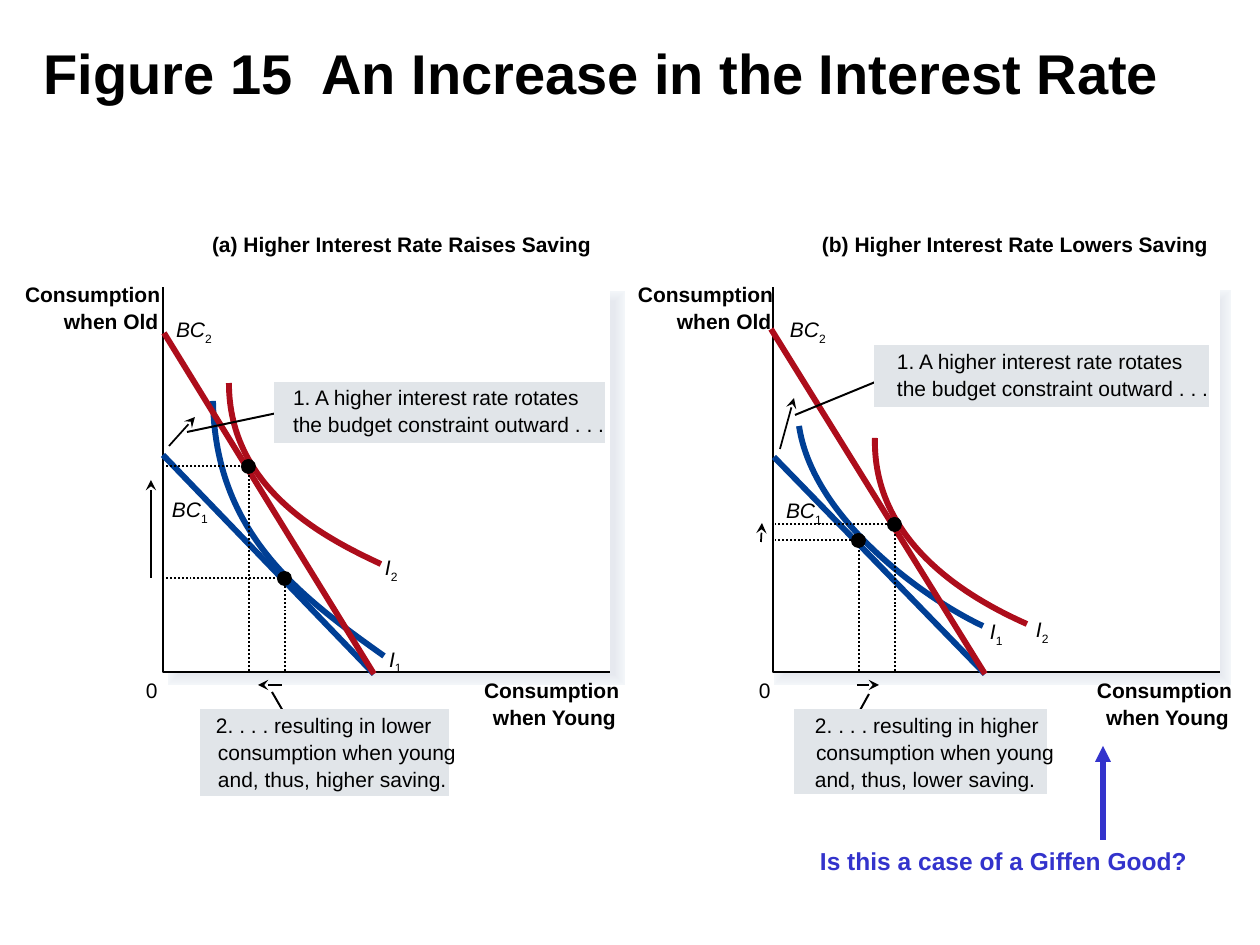
from dataclasses import dataclass

from lxml import etree
from pptx import Presentation
from pptx import util as u
from pptx.dml.color import RGBColor
from pptx.enum import dml, shapes, text
from pptx.oxml.ns import qn

PX = u.Inches(1) / 126
BLACK = RGBColor(0x00, 0x00, 0x00)
WHITE = RGBColor(0xFF, 0xFF, 0xFF)
BLUE = RGBColor(0x00, 0x3F, 0x95)
RED = RGBColor(0xAD, 0x0D, 0x1B)
VIOLET = RGBColor(0x33, 0x33, 0xCC)
CALLOUT_GREY = RGBColor(0xE1, 0xE5, 0xE9)
SHADOW_OUTER = RGBColor(0xF3, 0xF6, 0xF9)
SHADOW_INNER = RGBColor(0xE6, 0xE9, 0xEF)
SHADOW_STEPS = 11
THIN, ARROW, CURVE = 1.13, 1, 3.37
AXIS_Y, AXIS_TOP = 672, 287
TEXT_SLACK = 8  # keeps each label on one line


def px(length):
    return u.Emu(round(length * PX))


def blend(start, end, share):
    return RGBColor(*(round(a + (b - a) * share) for a, b in zip(start, end)))


@dataclass
class Callout:
    leader: tuple
    box: tuple
    top: int
    lines: tuple  # (words, left, width) for each line


@dataclass
class Panel:
    title: str
    title_width: int
    axis_x: int
    label_shift: int
    shadow: tuple
    arrows: tuple
    budget_lines: tuple  # (colour, line ends, label position)
    curves: tuple  # (colour, Bézier points, label position)
    optima: tuple
    callouts: tuple


class Sketch:
    """Holds the slide and the text style, and draws each kind of element."""

    def __init__(self, slide, font="Arial", size=12):
        self.slide = slide
        self.font = font
        self.size = size

    def run(self, paragraph, words, size=None, colour=BLACK, bold=False, italic=False):
        run = paragraph.add_run()
        run.text = words
        font = run.font
        font.name, font.size = self.font, u.Pt(size or self.size)
        font.bold, font.italic = bold, italic
        font.color.rgb = colour
        return run

    def title(self, words, box):
        shape = self.slide.shapes.title
        shape.left, shape.top, shape.width, shape.height = map(px, box)
        shape.text_frame.vertical_anchor = text.MSO_ANCHOR.MIDDLE
        paragraph = shape.text_frame.paragraphs[0]
        paragraph.alignment = text.PP_ALIGN.LEFT
        paragraph.line_spacing = 0.8
        self.run(paragraph, words, size=32, bold=True)

    def label(self, words, left, top, width, height=25, margins=(0, 0), subscript="", **style):
        box = self.slide.shapes.add_textbox(
            px(left), px(top), px(width + TEXT_SLACK), px(height))
        frame = box.text_frame
        frame.word_wrap = True
        frame.auto_size = text.MSO_AUTO_SIZE.NONE
        frame.margin_left = frame.margin_right = px(margins[0])
        frame.margin_top = frame.margin_bottom = px(margins[1])
        paragraph = frame.paragraphs[0]
        self.run(paragraph, words, **style)
        if subscript:
            run = self.run(paragraph, subscript)
            run._r.get_or_add_rPr().set("baseline", "-25000")

    def shape(self, box, fill, line_width=0, kind=shapes.MSO_SHAPE.RECTANGLE):
        shape = self.slide.shapes.add_shape(kind, *map(px, box))
        shape.shadow.inherit = False
        shape.fill.solid()
        shape.fill.fore_color.rgb = fill
        if line_width:
            shape.line.color.rgb = fill
            shape.line.width = u.Pt(line_width)
            etree.SubElement(shape.line._get_or_add_ln(), qn("a:miter"), lim="800000")
        else:
            shape.line.fill.background()

    def line(self, ends, colour=BLACK, width=THIN, head=None):
        connector = self.slide.shapes.add_connector(
            shapes.MSO_CONNECTOR.STRAIGHT, *map(px, ends))
        connector.line.color.rgb = colour
        connector.line.width = u.Pt(width)
        if head:
            etree.SubElement(connector.line._get_or_add_ln(), qn("a:tailEnd"), type=head)
        etree.SubElement(connector._element.spPr, qn("a:effectLst"))

    def outline(self, points, colour=BLACK, width=THIN, dash=None):
        builder = self.slide.shapes.build_freeform(*points[0], scale=PX)
        builder.add_line_segments(points[1:], close=False)
        shape = builder.convert_to_shape()
        shape.shadow.inherit = False
        shape.fill.background()
        shape.line.color.rgb = colour
        shape.line.width = u.Pt(width)
        if dash:
            shape.line.dash_style = dash
        return shape

    def curve(self, points, colour):
        """Draw a cubic Bézier from its four points."""
        shape = self.outline(points, colour, CURVE)
        path = next(shape._element.iter(qn("a:path")))
        cubic = etree.SubElement(path, qn("a:cubicBezTo"))
        for segment in path.findall(qn("a:lnTo")):
            cubic.append(segment[0])
            path.remove(segment)

    def callout(self, callout):
        self.line(callout.leader)
        self.shape(callout.box, CALLOUT_GREY, THIN)
        for row, (words, left, width) in enumerate(callout.lines):
            self.label(words, left, callout.top + 27 * row, width)

    def optimum(self, x, y, axis_x):
        guide = [(x, AXIS_Y - 1), (x, y), (axis_x + 2, y)]
        self.outline(guide, dash=dml.MSO_LINE.ROUND_DOT)
        self.shape((x - 8, y - 7, 15, 15), BLACK, kind=shapes.MSO_SHAPE.OVAL)

    def panel(self, panel):
        axis_x, shift = panel.axis_x, panel.label_shift
        for step in range(SHADOW_STEPS):
            share = step / (SHADOW_STEPS - 1)
            self.shape(panel.shadow, blend(SHADOW_OUTER, SHADOW_INNER, share),
                       12.5 + (THIN - 12.5) * share)
        self.shape((axis_x, AXIS_TOP, 447, AXIS_Y - AXIS_TOP), WHITE)
        self.outline([(axis_x, AXIS_TOP), (axis_x, AXIS_Y), (axis_x + 447, AXIS_Y)])
        for ends in panel.arrows:
            self.line(ends, width=ARROW, head="stealth")
        self.label(panel.title, axis_x + 49, 232, panel.title_width, bold=True)
        self.label("0", 146 + shift, 678, 11)
        for words, left, top, width in AXIS_LABELS:
            self.label(words, left + shift, top, width, bold=True)
        for number, (colour, points, place) in enumerate(panel.curves, 1):
            self.curve(points, colour)
            self.label("I", *place, 13, 29, subscript=str(number), italic=True)
        for number, (colour, ends, place) in enumerate(panel.budget_lines, 1):
            self.line(ends, colour, CURVE)
            self.label("BC", *place, 37, 29, subscript=str(number), italic=True)
        for callout in panel.callouts:
            self.callout(callout)
        for x, y in panel.optima:
            self.optimum(x, y, axis_x)


def rotation_lines(left):
    return (("1. A higher interest rate rotates", left, 288),
            ("the budget constraint outward . . .", left, 311))


AXIS_LABELS = (("Consumption", 25, 282, 135), ("when Old", 64, 309, 95),
               ("Consumption", 484, 678, 135), ("when Young", 493, 705, 125))

PANELS = (
    Panel(
        "(a) Higher Interest Rate Raises Saving", 379, 163, 0, (179, 302, 435, 372),
        arrows=((282, 685, 258, 685), (151, 578, 151, 480), (169, 446, 195, 417)),
        budget_lines=((BLUE, (163, 455, 374, 674), (172, 497)),
                      (RED, (374, 674, 164, 333), (176, 317))),
        curves=((BLUE, [(213, 401), (215, 534), (301, 597), (384, 656)], (389, 646)),
                (RED, [(229, 383), (229, 489), (325, 538), (381, 564)], (385, 555))),
        optima=((249, 466), (285, 578)),
        callouts=(
            Callout((187, 432, 282, 412), (275, 383, 329, 59), 385, rotation_lines(293)),
            Callout((272, 692, 287, 718), (201, 710, 247, 85), 713,
                    (("2. . . . resulting in lower", 216, 215),
                     ("consumption when young", 218, 244),
                     ("and, thus, higher saving.", 218, 229))))),
    Panel(
        "(b) Higher Interest Rate Lowers Saving", 387, 773, 613, (785, 301, 435, 373),
        arrows=((857, 685, 879, 685), (761, 542, 762, 523), (780, 449, 794, 398)),
        budget_lines=((BLUE, (774, 457, 985, 674), (786, 498)),
                      (RED, (985, 674, 771, 329), (790, 317))),
        curves=((BLUE, [(799, 426), (813, 520), (927, 600), (983, 626)], (990, 619)),
                (RED, [(875, 438), (873, 520), (932, 582), (1027, 624)], (1036, 617))),
        optima=((859, 540), (895, 524)),
        callouts=(
            Callout((795, 415, 885, 378), (875, 346, 333, 60), 349, rotation_lines(897)),
            Callout((869, 694, 853, 723), (795, 710, 251, 83), 713,
                    (("2. . . . resulting in higher", 815, 224),
                     ("consumption when young", 816, 238),
                     ("and, thus, lower saving.", 815, 220))))),
)


def main():
    presentation = Presentation()
    presentation.slide_width, presentation.slide_height = px(1260), px(945)
    slide = presentation.slides.add_slide(presentation.slide_layouts[5])
    sketch = Sketch(slide)
    sketch.title("Figure 15  An Increase in the Interest Rate", (31, 31, 1229, 94))
    for panel in PANELS:
        sketch.panel(panel)
    sketch.label("Is this a case of a Giffen Good?", 807, 840, 392, 43, margins=(13, 6),
                 size=14, colour=VIOLET, bold=True)
    sketch.line((1103, 840, 1103, 746), VIOLET, 3, head="triangle")
    presentation.save("out.pptx")


if __name__ == "__main__":
    main()
